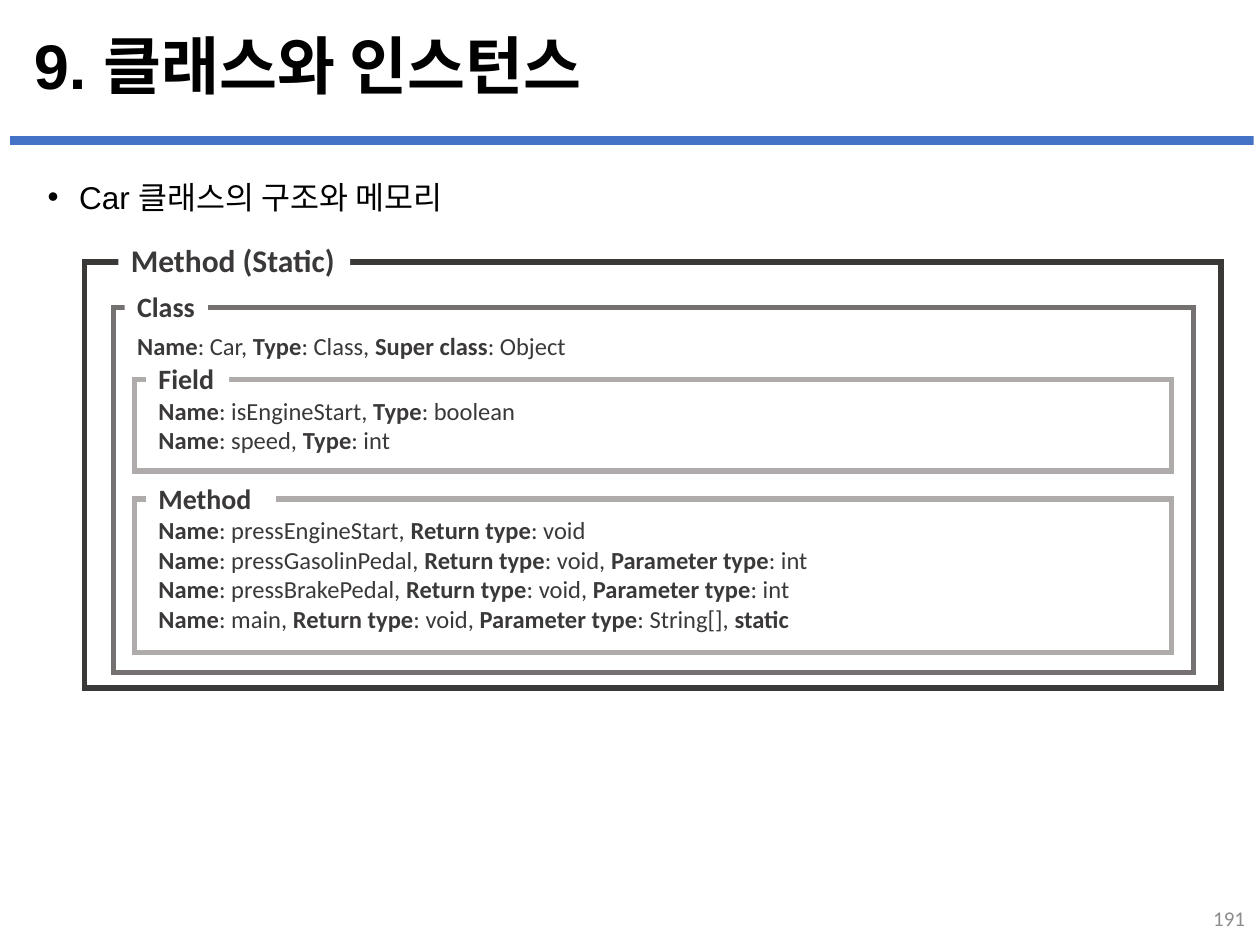
from pptx import Presentation
from pptx.dml.color import RGBColor
from pptx.enum.shapes import MSO_SHAPE as SHAPE
from pptx.enum.text import MSO_ANCHOR as ANCHOR, MSO_AUTO_SIZE as AUTO, PP_ALIGN as ALIGN
from pptx.util import Inches, Pt
from lxml.etree import SubElement
from pptx.oxml.ns import qn

DARK, MID, LIGHT = "3B3838", "767171", "AFABAB"


def color(value):
    return RGBColor.from_string(value)


def add_rect(slide, box, fill=None, line=None):
    s = slide.shapes.add_shape(SHAPE.RECTANGLE, *map(Inches, box))
    s.shadow.inherit = False
    if fill:
        s.fill.solid()
        s.fill.fore_color.rgb = color(fill)
    else:
        s.fill.background()
    if line:
        s.line.color.rgb = color(line)
        s.line.width = Pt(3)
        SubElement(s.line._get_or_add_ln(), qn("a:miter")).set("lim", "800000")
    else:
        s.line.fill.background()
    return s


def add_run(p, text, size, tone, font="Calibri", bold=False):
    r = p.add_run()
    r.text = text
    for name, value in dict(name=font, size=Pt(size), bold=bold).items():
        setattr(r.font, name, value)
    r.font.color.rgb = color(tone)


def add_text(slide, box, text, size, tone, font="Calibri", bold=False, **frame):
    tf = slide.shapes.add_textbox(*map(Inches, box)).text_frame
    for name, value in (dict(word_wrap=True) | frame).items():
        setattr(tf, name, value)
    p = tf.paragraphs[0]
    add_run(p, text, size, tone, font, bold)
    return p


def add_header(slide, box):
    left, top, width, height = box
    add_rect(slide, (left, top + 1.08, width, 0.07), fill="4472C4")
    p = add_text(slide, (left + 0.09, top + 0.22, 9.66, 0.66), "9. 클래스와 인스턴스",
                 36, "000000", "Arial", True, vertical_anchor=ANCHOR.MIDDLE)
    p.line_spacing = 0.9


def add_bullet(slide, box):
    p = add_text(slide, box, "Car 클래스의 구조와 메모리", 18, "000000", "Arial")
    pPr = p._p.get_or_add_pPr()
    pPr.set("marL", str(Inches(0.25)))
    pPr.set("indent", str(-Inches(0.25)))
    SubElement(pPr, qn("a:buFont")).set("typeface", "Arial")
    SubElement(pPr, qn("a:buChar")).set("char", "•")


def add_details(slide, box, lines):
    tf = slide.shapes.add_textbox(*map(Inches, box)).text_frame
    tf.word_wrap = True
    for i, line in enumerate(lines):
        p = tf.add_paragraph() if i else tf.paragraphs[0]
        for j, part in enumerate(line.split("|")):
            add_run(p, part, 14, DARK, bold=j % 2 == 0)


def add_panel(slide, box, tone, title, label, size=16, wrap=True):
    add_rect(slide, box, line=tone)
    dx, dy, width, height = label
    s = add_rect(slide, (box[0] + dx, box[1] + dy, width, height), fill="FFFFFF")
    tf = s.text_frame
    for name, value in dict(word_wrap=wrap, auto_size=AUTO.SHAPE_TO_FIT_TEXT,
                            margin_top=0, margin_bottom=0,
                            vertical_anchor=ANCHOR.TOP).items():
        setattr(tf, name, value)
    p = tf.paragraphs[0]
    p.alignment = ALIGN.LEFT
    add_run(p, title, size, DARK, bold=True)


def add_members(slide, box, title, label_width, lines):
    left, top, width, height = box
    add_panel(slide, box, LIGHT, title, (0.09, -0.14, label_width, 0.27))
    add_details(slide, (left + 0.09, top + 0.08, width - 0.2, height - 0.17), lines)


def add_memory(slide, box):
    left, top, width, height = box
    add_panel(slide, box, DARK, "Method (Static)", (0.27, -0.17, 1.84, 0.3), 18, False)
    add_panel(slide, (left + 0.23, top + 0.36, width - 0.45, height - 0.48), MID,
              "Class", (0.09, -0.14, 0.66, 0.27), wrap=False)
    add_members(slide, (left + 0.4, top + 0.93, 8.23, 0.73), "Field", 0.66, [
        "Name|: isEngineStart, |Type|: boolean",
        "Name|: speed, |Type|: int",
    ])
    add_members(slide, (left + 0.4, top + 1.88, 8.23, 1.22), "Method", 1.03, [
        "Name|: pressEngineStart, |Return type|: void",
        "Name|: pressGasolinPedal, |Return type|: void, |Parameter type|: int",
        "Name|: pressBrakePedal, |Return type|: void, |Parameter type|: int",
        "Name|: main, |Return type|: void, |Parameter type|: String[], |static",
    ])
    add_details(slide, (left + 0.32, top + 0.5, 8.23, 0.34),
                ["Name|: Car, |Type|: Class, |Super class|: Object"])


def add_page_number(slide, box):
    p = add_text(slide, box, "191", 12, "8C8C8C", vertical_anchor=ANCHOR.MIDDLE)
    p.alignment = ALIGN.RIGHT


def main():
    prs = Presentation()
    prs.slide_width, prs.slide_height = Inches(10), Inches(7.5)
    slide = prs.slides.add_slide(prs.slide_layouts[6])
    add_header(slide, (0.08, 0, 9.87, 1.15))
    add_bullet(slide, (0.28, 1.36, 9.4, 0.45))
    add_page_number(slide, (7.73, 7.09, 2.25, 0.4))
    add_memory(slide, (0.67, 2.08, 9.02, 3.38))
    prs.save("out.pptx")


if __name__ == "__main__":
    main()
